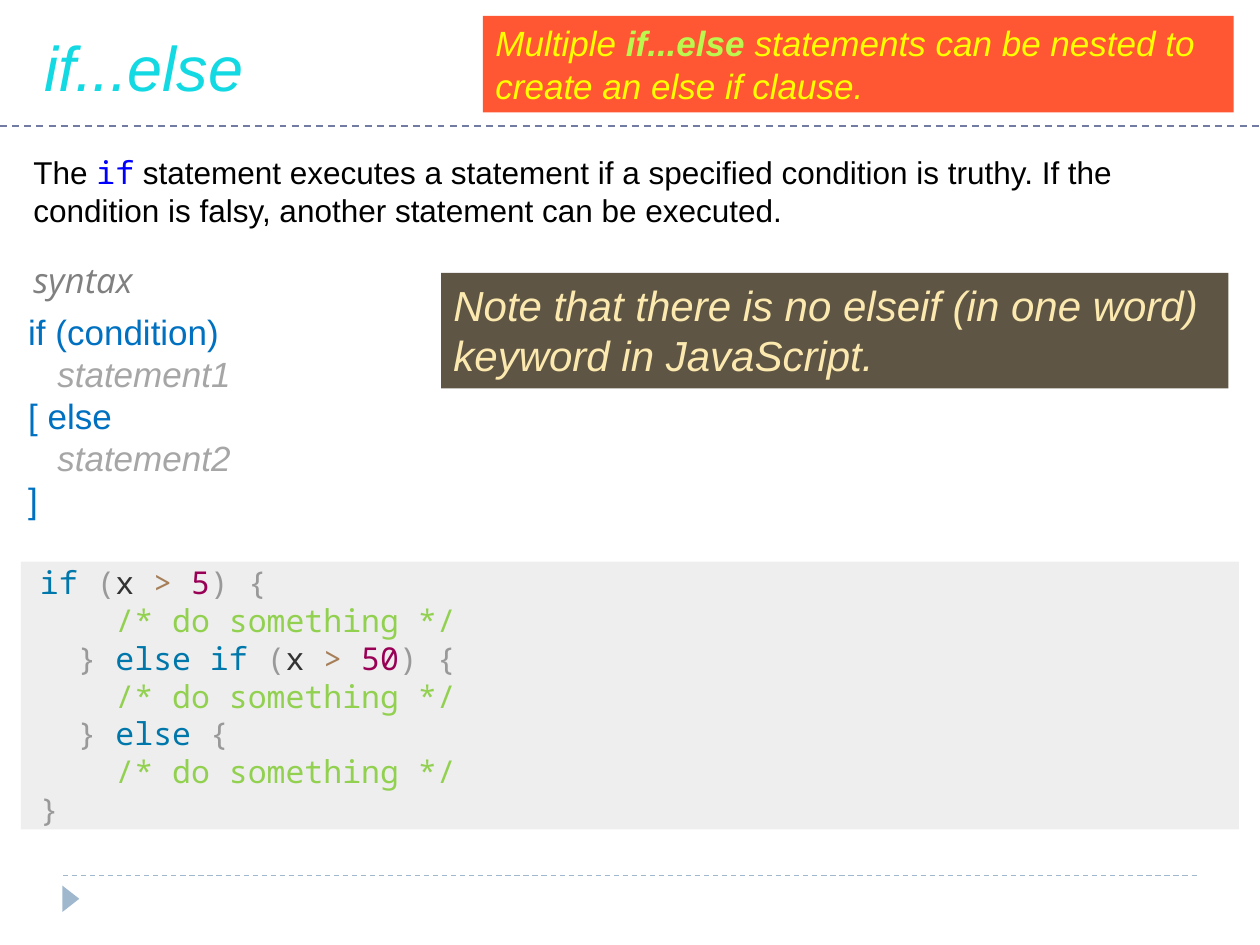
from dataclasses import dataclass

from pptx import Presentation
from pptx.dml.color import RGBColor
from pptx.enum.dml import MSO_LINE
from pptx.enum.shapes import MSO_CONNECTOR, MSO_SHAPE
from pptx.enum.text import MSO_ANCHOR, MSO_AUTO_SIZE, PP_ALIGN
from pptx.oxml.xmlchemy import OxmlElement
from pptx.util import Inches, Pt


@dataclass(frozen=True)
class Style:
    color: str
    font: str = "Arial"
    italic: bool = False
    bold: bool = False


@dataclass(frozen=True)
class Theme:
    title_size: int = 36
    note_size: int = 24
    medium_size: int = 20
    body_size: int = 18
    rule: str = "727CA3"
    footer: str = "9FB8CD"
    note_fill: str = "5E5544"
    callout_fill: str = "FF5733"
    code_fill: str = "EEEEEE"


THEME = Theme()
MONO = "Noto Sans Mono"
STYLES = {
    "title": Style("13D9E3", italic=True),
    "body": Style("000000"),
    "inline code": Style("0000FF", MONO),
    "heading": Style("808080", "Open Sans", italic=True),
    "syntax": Style("0070C0"),
    "placeholder": Style("A6A6A6", italic=True),
    "note": Style("FCE9AF", italic=True),
    "callout": Style("FFFF00", italic=True),
    "callout key": Style("BBF74F", italic=True, bold=True),
    "keyword": Style("0077AA", MONO),
    "punctuation": Style("999999", MONO),
    "name": Style("333333", MONO),
    "operator": Style("A67F59", MONO),
    "number": Style("990055", MONO),
    "comment": Style("92D050", MONO),
}

# Content: each paragraph is a list of (text, style) runs
TITLE = [[("if...else", "title")]]
INTRODUCTION = [[
    ("The ", "body"), ("if", "inline code"),
    (" statement executes a statement if a specified condition is truthy. "
     "If the condition is falsy, another statement can be executed.", "body"),
]]
HEADING = [[("syntax", "heading")]]
SYNTAX = [
    [("if (condition)", "syntax")],
    [("   statement1", "placeholder")],
    [("[ else", "syntax")],
    [("   statement2", "placeholder")],
    [("]", "syntax")],
]
NOTE = [[("Note that there is no elseif (in one word) keyword in JavaScript.", "note")]]
CALLOUT = [[
    ("Multiple ", "callout"), ("if...else ", "callout key"),
    ("statements can be nested to create an else if clause.", "callout"),
]]
COMMENT_LINE = [("     ", "name"), ("/* do something */", "comment")]
CLOSING = [("   ", "name"), ("} ", "punctuation")]


def condition(number):
    return [("(", "punctuation"), ("x ", "name"), ("> ", "operator"),
            (number, "number"), (") {", "punctuation")]


CODE = [
    [(" if ", "keyword")] + condition("5"),
    COMMENT_LINE,
    CLOSING + [("else if ", "keyword")] + condition("50"),
    COMMENT_LINE,
    CLOSING + [("else ", "keyword"), ("{", "punctuation")],
    COMMENT_LINE,
    [(" }", "punctuation")],
]

# Grid of 120 columns by 90 rows: (left, top, width, height)
COLUMNS, ROWS = 120, 90
TITLE_AREA = (3, 2, 113, 8.5)
TEXT_BOXES = [
    ((2, 14, 116, 8.5), INTRODUCTION, THEME.body_size),
    ((2, 24, 116, 5.3), HEADING, THEME.medium_size),
    ((1.5, 29, 116, 21.4), SYNTAX, THEME.medium_size),
]
PANELS = [
    ((42, 26, 75, 11), NOTE, THEME.note_size, THEME.note_fill),
    ((46, 1.5, 71.5, 9.2), CALLOUT, THEME.medium_size, THEME.callout_fill),
]
CODE_AREA = (2, 53.5, 116, 25.5)
MARKER_AREA = (5.5, 84.8, 2.5, 1.6)
RULES = [  # left, right, row, colour, width in points
    (6, 114, 83.4, THEME.footer, 0.75),
    (0, 120, 12, THEME.rule, 1),
]

presentation = Presentation()
presentation.slide_width, presentation.slide_height = Inches(10), Inches(7.5)
slide = presentation.slides.add_slide(presentation.slide_layouts[5])
column = presentation.slide_width / COLUMNS
row = presentation.slide_height / ROWS


def place(area):
    left, top, width, height = area
    return (round(left * column), round(top * row),
            round(width * column), round(height * row))


def write(shape, paragraphs, size, anchor=MSO_ANCHOR.TOP):
    frame = shape.text_frame
    frame.word_wrap = True
    frame.auto_size = MSO_AUTO_SIZE.NONE
    frame.vertical_anchor = anchor
    for index, runs in enumerate(paragraphs):
        paragraph = frame.add_paragraph() if index else frame.paragraphs[0]
        paragraph.alignment = PP_ALIGN.LEFT
        for text, style_name in runs:
            style = STYLES[style_name]
            run = paragraph.add_run()
            run.text = text
            run.font.size = Pt(size)
            run.font.name = style.font
            run.font.italic = style.italic
            run.font.bold = style.bold
            run.font.color.rgb = RGBColor.from_string(style.color)


def add_filled(kind, area, fill):
    shape = slide.shapes.add_shape(kind, *place(area))
    shape.shadow.inherit = False
    shape.fill.solid()
    shape.fill.fore_color.rgb = RGBColor.from_string(fill)
    shape.line.fill.background()
    return shape


# Dashed rules and footer marker
for left, right, level, color, width in RULES:
    start_x, y, length, _ = place((left, level, right - left, 0))
    rule = slide.shapes.add_connector(
        MSO_CONNECTOR.STRAIGHT, start_x, y, start_x + length, y)
    rule.line.color.rgb = RGBColor.from_string(color)
    rule.line.width = Pt(width)
    rule.line.dash_style = MSO_LINE.DASH
    rule._element.spPr.append(OxmlElement("a:effectLst"))
marker = add_filled(MSO_SHAPE.ISOSCELES_TRIANGLE, MARKER_AREA, THEME.footer)
marker.rotation = 90

# Title
title = slide.shapes.title
title.left, title.top, title.width, title.height = place(TITLE_AREA)
write(title, TITLE, THEME.title_size, MSO_ANCHOR.BOTTOM)

# Explanation and syntax
for area, paragraphs, size in TEXT_BOXES:
    write(slide.shapes.add_textbox(*place(area)), paragraphs, size)

# Coloured panels
for area, paragraphs, size, fill in PANELS:
    write(add_filled(MSO_SHAPE.RECTANGLE, area, fill), paragraphs, size)

# Code example
code = add_filled(MSO_SHAPE.RECTANGLE, CODE_AREA, THEME.code_fill)
write(code, CODE, THEME.body_size, MSO_ANCHOR.MIDDLE)
frame = code.text_frame
frame.margin_left = frame.margin_right = frame.margin_top = frame.margin_bottom = 0

presentation.save("out.pptx")
